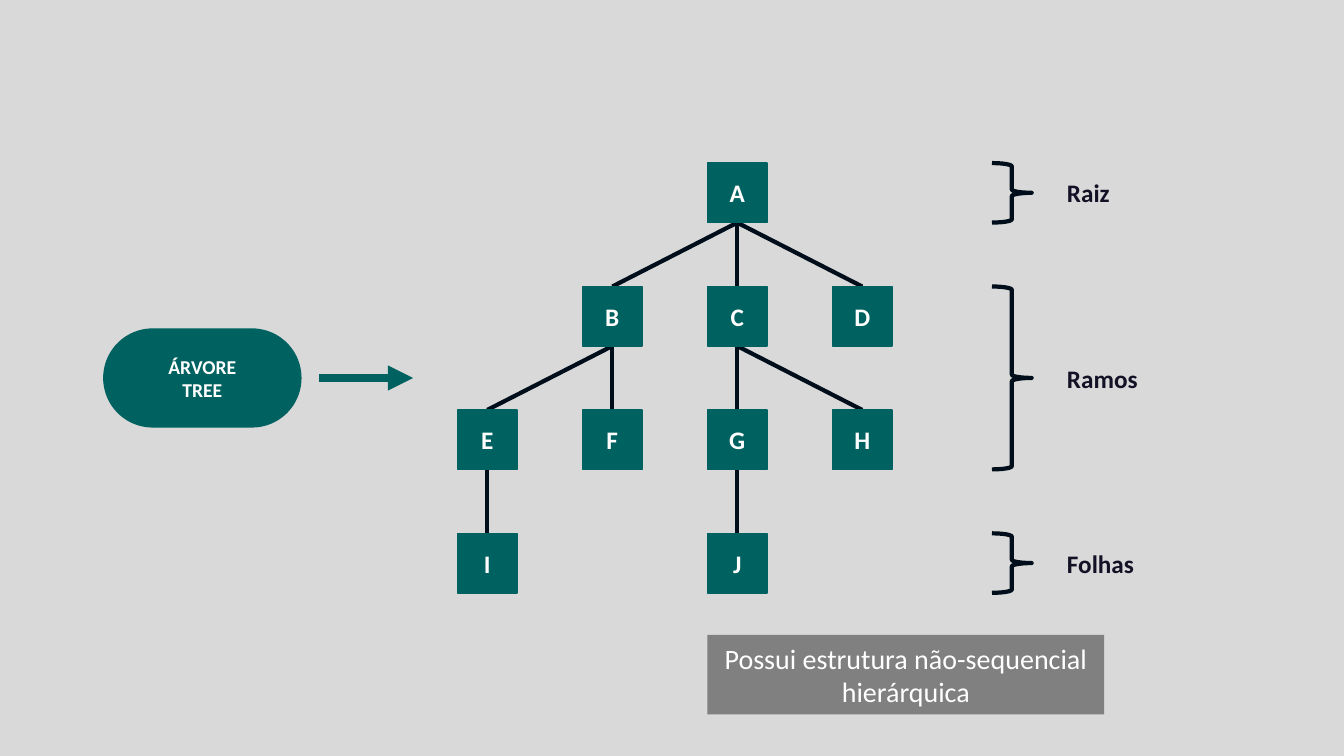
from lxml import etree
from pptx import Presentation
from pptx.dml.color import RGBColor
from pptx.enum.shapes import MSO_CONNECTOR, MSO_SHAPE
from pptx.enum.text import MSO_ANCHOR, PP_ALIGN
from pptx.oxml.ns import qn
from pptx.util import Cm, Pt

STRAIGHT = MSO_CONNECTOR.STRAIGHT
RECTANGLE = MSO_SHAPE.RECTANGLE
PILL = MSO_SHAPE.ROUNDED_RECTANGLE
BRACE = MSO_SHAPE.RIGHT_BRACE
MIDDLE = MSO_ANCHOR.MIDDLE
CENTER, LEFT = PP_ALIGN.CENTER, PP_ALIGN.LEFT
BOTTOM_SIDE, TOP_SIDE = 2, 0

# Content: node -> (column, row), parent -> children, level -> (first row, last row)
NODES = {
    "A": (2, 0),
    "B": (1, 1), "C": (2, 1), "D": (3, 1),
    "E": (0, 2), "F": (1, 2), "G": (2, 2), "H": (3, 2),
    "I": (0, 3), "J": (2, 3),
}
CHILDREN = {"A": "BCD", "B": "EF", "C": "GH", "E": "I", "G": "J"}
LEVELS = {"Raiz": (0, 0), "Ramos": (1, 2), "Folhas": (3, 3)}
TREE_NAME = ["ÁRVORE", "TREE"]
NOTE = ["Possui estrutura não-sequencial hierárquica"]

GREEN, INK, LABEL_INK = "006260", "000D1A", "131126"
GREY, WHITE, BACKGROUND = "808080", "FFFFFF", "D9D9D9"

# Lengths in centimetres
NODE_SIZE = 1.5
TREE_LEFT, TREE_TOP = 11.53, 4.11
COLUMN_STEP, ROW_STEP = 3.15, 3.11
BRACE_LEFT, BRACE_WIDTH = 25, 1
LABEL_LEFT, LABEL_WIDTH = 26.64, 4.35
PILL_LEFT, PILL_WIDTH, PILL_HEIGHT = 2.6, 5, 2.5
ARROW_START, ARROW_END = 8.05, 10.41
NOTE_TOP, NOTE_WIDTH, NOTE_HEIGHT = 16, 10, 2

NODE_FONT = {"name": "Calibri", "size": Pt(18), "bold": True}
PILL_FONT = {"name": "Calibri", "size": Pt(14), "bold": True}
NOTE_FONT = {"name": "Calibri", "size": Pt(20), "bold": False}


def rgb(color):
    return RGBColor.from_string(color)


def column_left(column):
    return TREE_LEFT + column * COLUMN_STEP


def row_top(row):
    return TREE_TOP + row * ROW_STEP


def write(box, lines, font, color, align=CENTER):
    frame = box.text_frame
    frame.word_wrap = True
    frame.vertical_anchor = MIDDLE
    for index, line in enumerate(lines):
        para = frame.paragraphs[0] if index == 0 else frame.add_paragraph()
        para.alignment = align
        span = para.add_run()
        span.text = line
        for name, value in font.items():
            setattr(span.font, name, value)
        span.font.color.rgb = rgb(color)


def add_box(shapes, kind, place, fill=None, line=None, weight=1):
    """Add a preset shape at (left, top, width, height) in centimetres."""
    box = shapes.add_shape(kind, *map(Cm, place))
    box.shadow.inherit = False
    if fill:
        box.fill.solid()
        box.fill.fore_color.rgb = rgb(fill)
    else:
        box.fill.background()
    if line:
        box.line.color.rgb = rgb(line)
        box.line.width = Pt(weight)
    else:
        box.line.fill.background()
    return box


def add_line(shapes, start, end, color, weight):
    link = shapes.add_connector(STRAIGHT, *map(Cm, start + end))
    link.line.color.rgb = rgb(color)
    link.line.width = Pt(weight)
    etree.SubElement(link.element.spPr, qn("a:effectLst"))
    return link


def add_tree(page):
    boxes = {}
    for name, (column, row) in NODES.items():
        place = (column_left(column), row_top(row), NODE_SIZE, NODE_SIZE)
        boxes[name] = add_box(page.shapes, RECTANGLE, place, GREEN, GREEN)
        write(boxes[name], [name], NODE_FONT, WHITE)
    for parent, children in CHILDREN.items():
        for child in children:
            link = add_line(page.shapes, (0, 0), (0, 0), INK, 3)
            link.begin_connect(boxes[parent], BOTTOM_SIDE)
            link.end_connect(boxes[child], TOP_SIDE)
            # Branches lie behind the nodes
            link.element.getparent().insert(2, link.element)


def add_levels(page):
    for label, (first, last) in LEVELS.items():
        top = row_top(first)
        height = row_top(last) + NODE_SIZE - top
        add_box(page.shapes, BRACE, (BRACE_LEFT, top, BRACE_WIDTH, height), line=INK, weight=3)
        label_top = top + (height - NODE_SIZE) / 2
        box = page.shapes.add_textbox(*map(Cm, (LABEL_LEFT, label_top, LABEL_WIDTH, NODE_SIZE)))
        write(box, [label], NODE_FONT, LABEL_INK, LEFT)


def add_tree_name(page):
    """Add the pill with the structure's name and its arrow to the tree."""
    middle = (row_top(1) + row_top(2) + NODE_SIZE) / 2
    group = page.shapes.add_group_shape()
    place = (PILL_LEFT, middle - PILL_HEIGHT / 2, PILL_WIDTH, PILL_HEIGHT)
    pill = add_box(group.shapes, PILL, place, GREEN)
    pill.adjustments[0] = 0.5
    write(pill, TREE_NAME, PILL_FONT, WHITE)
    arrow = add_line(group.shapes, (ARROW_START, middle), (ARROW_END, middle), GREEN, 6)
    etree.SubElement(arrow.line._get_or_add_ln(), qn("a:tailEnd"), type="triangle")


def main():
    deck = Presentation()
    deck.slide_width, deck.slide_height = Cm(33.87), Cm(19.05)
    page = deck.slides.add_slide(deck.slide_layouts[6])
    page.background.fill.solid()
    page.background.fill.fore_color.rgb = rgb(BACKGROUND)
    add_tree(page)
    add_levels(page)
    add_tree_name(page)
    note_place = (column_left(2), NOTE_TOP, NOTE_WIDTH, NOTE_HEIGHT)
    note = add_box(page.shapes, RECTANGLE, note_place, GREY)
    write(note, NOTE, NOTE_FONT, WHITE)
    deck.save("out.pptx")


if __name__ == "__main__":
    main()
